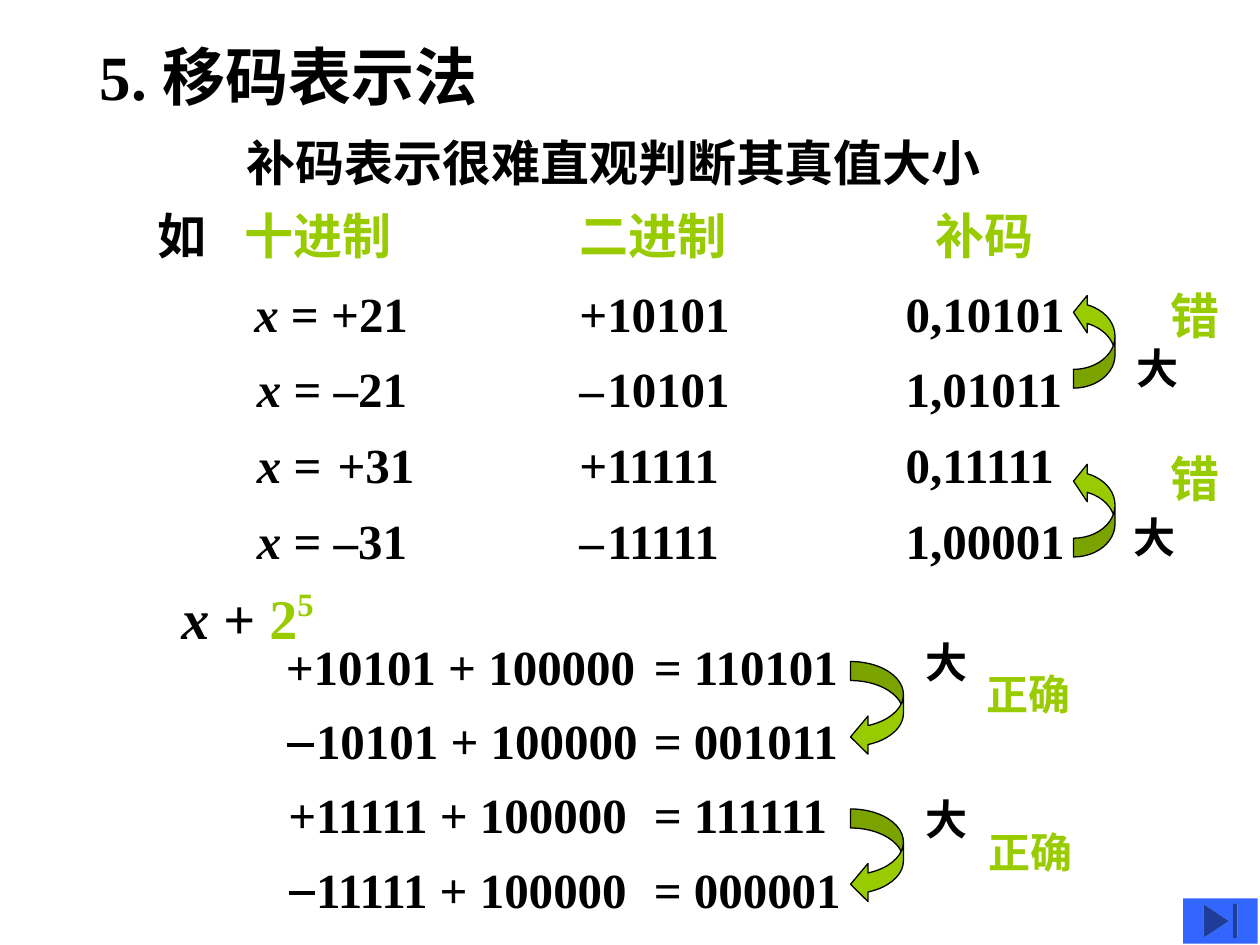
from dataclasses import dataclass
from lxml import etree
from pptx import Presentation
from pptx.dml.color import RGBColor
from pptx.enum import shapes, text
from pptx.oxml import ns
from pptx import util as u

PX = 9144


@dataclass(frozen=True)
class Theme:
    face: str = "Times New Roman"
    ink: str = "000000"
    lime: str = "99CC00"
    blue: str = "3366FF"
    head: int = 36
    power: int = 32
    body: int = 28
    note: int = 24


T = Theme()


def emu(*vals):
    return [u.Emu(int(v * PX)) for v in vals]


def rgb(code):
    return RGBColor.from_string(code)


def write(slide, box, runs, size=T.body, color=T.ink, shape=None):
    shape = shape or slide.shapes.add_textbox(*emu(*box))
    shape.left, shape.top, shape.width, shape.height = emu(*box)
    frame = shape.text_frame
    frame.word_wrap = True
    frame.margin_right = 0
    frame.auto_size = text.MSO_AUTO_SIZE.SHAPE_TO_FIT_TEXT
    frame.vertical_anchor = text.MSO_ANCHOR.TOP
    para = frame.paragraphs[0]
    para.alignment = text.PP_ALIGN.LEFT
    for words, look in [(runs, {})] if isinstance(runs, str) else runs:
        run = para.add_run()
        run.text = words
        font = run.font
        font.name, font.bold = T.face, True
        font.italic = look.get("italic", False)
        font.size = u.Pt(look.get("size", size))
        font.color.rgb = rgb(look.get("color", color))
        if "raise" in look:
            run._r.get_or_add_rPr().set("baseline", str(look["raise"]))


def arrow(slide, box, kind, turn, adjs):
    left, top, wide, high = box
    shift = (high - wide) / 2
    shape = slide.shapes.add_shape(kind, *emu(left - shift, top + shift, high, wide))
    shape.rotation = turn
    shape.shadow.inherit = False
    shape.fill.solid()
    shape.fill.fore_color.rgb = rgb(T.lime)
    shape.line.color.rgb = rgb(T.ink)
    shape.line.width = u.Pt(0.75)
    for i, val in enumerate(adjs):
        shape.adjustments[i] = val


def dash(slide, x, y, wide):
    line = slide.shapes.add_connector(shapes.MSO_CONNECTOR.STRAIGHT, *emu(x, y, x + wide, y))
    line.line.color.rgb = rgb(T.ink)
    line.line.width = u.Pt(2.25)
    etree.SubElement(line._element.spPr, ns.qn("a:effectLst"))


def header(slide, x, y):
    write(slide, (x, y, 332, 70), "5. 移码表示法", size=T.head, shape=slide.shapes.title)
    write(slide, (x + 117, y + 75, 602, 57), "补码表示很难直观判断其真值大小")


def codes(slide, x, y):
    write(slide, (x, y, 59, 57), "如")
    for dx, wide, label in ((69, 136, "十进制"), (335, 217, "二进制"), (618, 200, "补码")):
        write(slide, (x + dx, y, wide, 57), label, color=T.lime)
    var = ("x", {"italic": True})
    thin = (" ", {"size": 8})
    rows = (
        (77, 142, [var, (" = +21", {})], "+10101", "0,10101"),
        (79, 139, [var, (" = –21", {})], [("–", {}), thin, ("10101", {})], "1,01011"),
        (79, 145, [var, (" = ", {}), (" ", {"size": 9}), ("+31", {})], "+11111", "0,11111"),
        (79, 139, [var, (" = –31", {})], [("–", {}), thin, ("11111", {})], "1,00001"),
    )
    for i, (dx, wide, value, binary, code) in enumerate(rows):
        top = y + 62 + 60 * i
        write(slide, (x + dx, top, wide, 57), value)
        write(slide, (x + 335, top, 139, 57), binary)
        write(slide, (x + 594, top, 146, 57), code)


def wrong(slide, x, y, dx, dy):
    kind = shapes.MSO_SHAPE.CURVED_UP_ARROW
    arrow(slide, (x, y, 33, 75), kind, 270, (0.45, 0.9, 0.33))
    write(slide, (x + dx, y + 34, 53, 50), "大", size=T.note)
    write(slide, (x + 67, y + dy, 59, 57), "错", color=T.lime)


def sums(slide, x, y):
    power = [("x", {"italic": True}), (" + ", {}), ("2", {"color": T.lime}),
             ("5", {"color": T.lime, "raise": 40000})]
    write(slide, (x, y, 125, 64), power, size=T.power)
    rows = ((83, 297, "+10101", "110101"), (107, 275, "10101", "001011"),
            (85, 297, "+11111", "111111"), (107, 275, "11111", "000001"))
    for i, (dx, wide, term, total) in enumerate(rows):
        top = y + 42 + 59 * i
        write(slide, (x + dx, top, wide, 57), f"{term} + 100000")
        write(slide, (x + 375, top, 168, 57), f"= {total}")
        if i % 2:
            dash(slide, x + 94 + i // 2, top + 32, 21)


def right(slide, x, y, dx, dy):
    kind = shapes.MSO_SHAPE.CURVED_DOWN_ARROW
    arrow(slide, (x, y, 42, 75), kind, 90, (0.36, 0.72, 0.33))
    write(slide, (x + 50, y + dy, 53, 50), "大", size=T.note)
    write(slide, (x + dx, y + dy + 26, 86, 50), "正确", size=T.note, color=T.lime)


def button(slide, *box):
    shape = slide.shapes.add_shape(shapes.MSO_SHAPE.ACTION_BUTTON_END, *emu(*box))
    shape.shadow.inherit = False
    shape.fill.solid()
    shape.fill.fore_color.rgb = rgb(T.blue)
    shape.line.fill.background()


def main():
    deck = Presentation()
    deck.slide_width, deck.slide_height = emu(1000, 750)
    slide = deck.slides.add_slide(deck.slide_layouts[5])
    header(slide, 69, 25)
    codes(slide, 115, 158)
    wrong(slide, 852, 233, 40, -11)
    wrong(slide, 852, 367, 38, -16)
    sums(slide, 134, 458)
    right(slide, 675, 525, 98, -25)
    right(slide, 675, 642, 100, -17)
    button(slide, 939, 713, 59, 36)
    deck.save("out.pptx")


if __name__ == "__main__":
    main()
